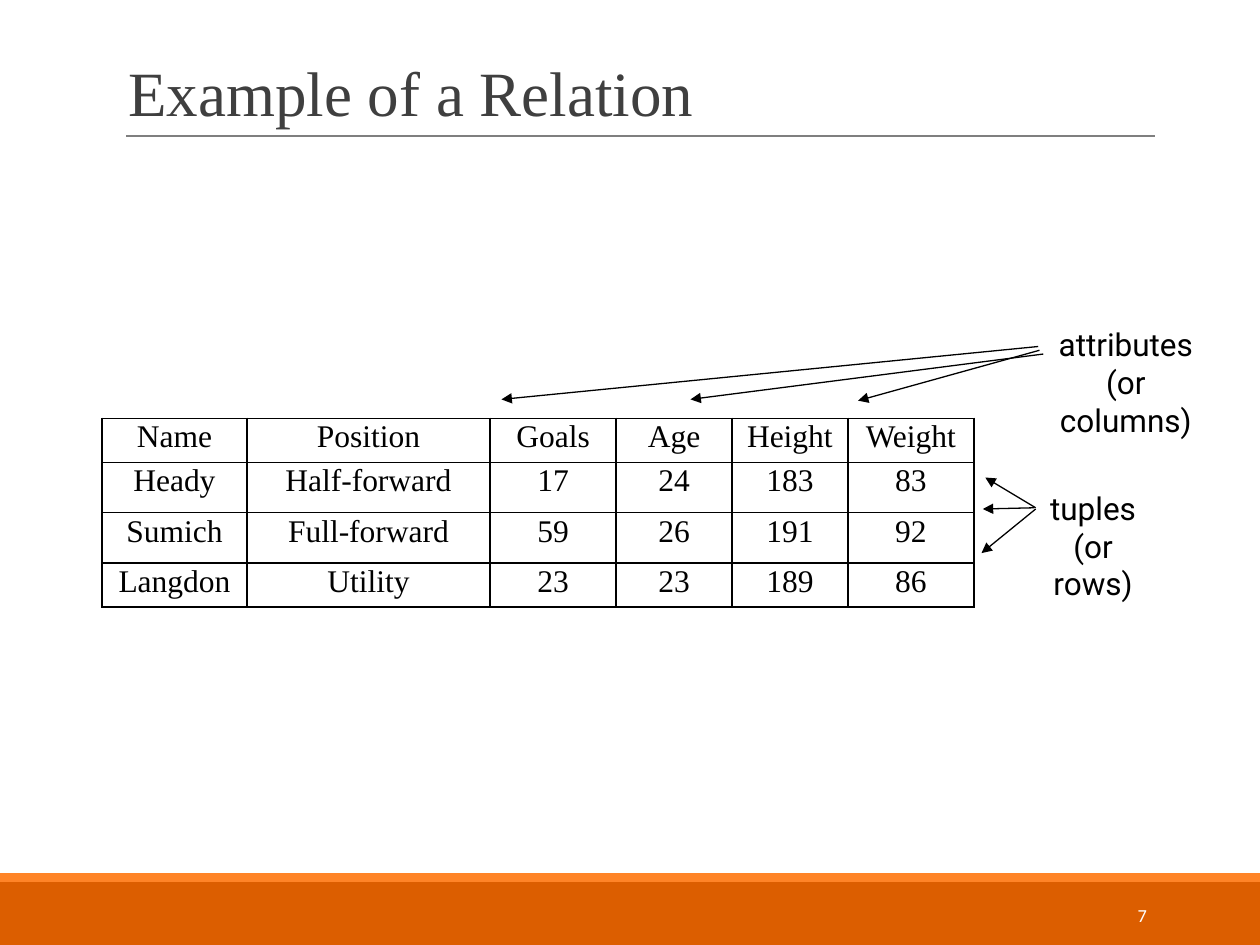
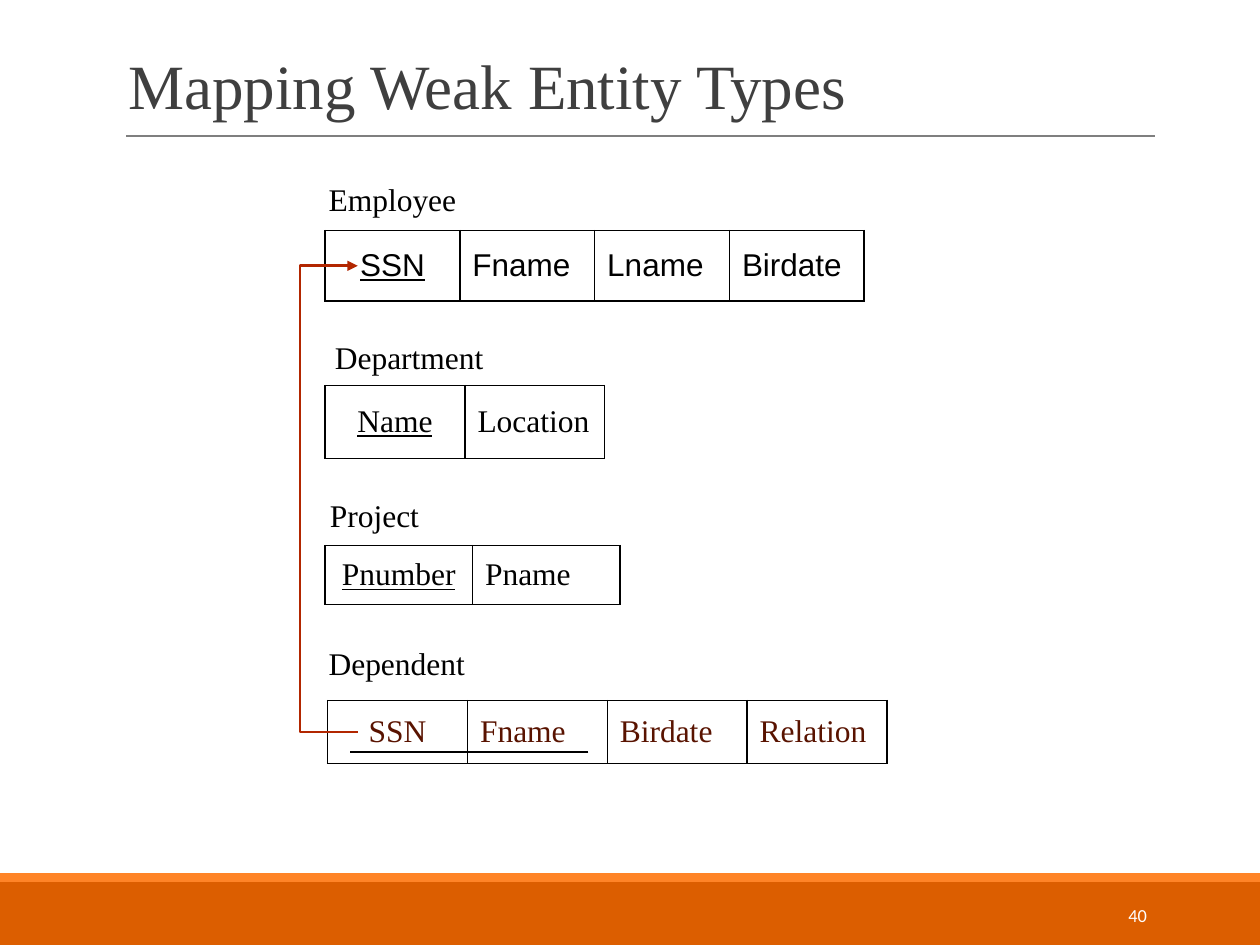
from lxml import etree
from pptx import Presentation
from pptx.dml.color import RGBColor
from pptx.enum.shapes import MSO_CONNECTOR, MSO_SHAPE
from pptx.enum.text import MSO_ANCHOR, MSO_AUTO_SIZE, PP_ALIGN
from pptx.oxml import parse_xml
from pptx.oxml.ns import nsdecls, qn
from pptx.util import Inches, Pt

LEFT, CENTER, RIGHT = PP_ALIGN.LEFT, PP_ALIGN.CENTER, PP_ALIGN.RIGHT
TOP, MIDDLE, BOTTOM = MSO_ANCHOR.TOP, MSO_ANCHOR.MIDDLE, MSO_ANCHOR.BOTTOM
RECTANGLE, STRAIGHT = MSO_SHAPE.RECTANGLE, MSO_CONNECTOR.STRAIGHT

BLACK = RGBColor(0x00, 0x00, 0x00)
WHITE = RGBColor(0xFF, 0xFF, 0xFF)
TITLE_GREY = RGBColor(0x3F, 0x3F, 0x3F)
RULE_GREY = RGBColor(0x7F, 0x7F, 0x7F)
BAND_DARK = RGBColor(0xDC, 0x5E, 0x00)
BAND_LIGHT = RGBColor(0xFF, 0x84, 0x27)
WEAK_BROWN = RGBColor(0x59, 0x13, 0x00)
KEY_RED = RGBColor(0xB2, 0x26, 0x00)
SERIF, SANS, LABEL, NUMBER = "Times New Roman", "Arial", "Roboto", "Calibri"

# Content of the relation slide
PLAYERS = [
    ["Name", "Position", "Goals", "Age", "Height", "Weight"],
    ["Heady", "Half-forward", "17", "24", "183", "83"],
    ["Sumich", "Full-forward", "59", "26", "191", "92"],
    ["Langdon", "Utility", "23", "23", "189", "86"],
]
PLAYER_COLUMNS = [1.15, 1.93, 1, 0.92, 0.92, 1]
PLAYER_ROWS = [0.31, 0.4, 0.4, 0.31]
# Label lines, box, arrows as (start, end)
CALLOUTS = [
    (["attributes", "(or columns)"], (8.14, 2.53, 1.59, 0.71),
     [((8.24, 2.75), (3.98, 3.17)), ((8.28, 2.81), (5.48, 3.17)),
      ((8.25, 2.78), (6.81, 3.18))]),
    (["tuples", "(or rows)"], (8.08, 3.83, 1.19, 0.71),
     [((8.22, 4.03), (7.82, 3.79)), ((8.21, 4.03), (7.8, 4.04)),
      ((8.22, 4.04), (7.79, 4.39))]),
]

# Content of the mapping slide:
# name, name box, table corner, column width, height, font, colour, key underlined, fields
SCHEMAS = [
    ("Employee", (2.51, 1.38, 1.42, 0.4), (2.58, 1.83), 1.07, 0.56, SANS, BLACK,
     True, ["SSN", "Fname", "Lname", "Birdate"]),
    ("Department", (2.56, 2.63, 1.56, 0.4), (2.58, 3.06), 1.11, 0.58, SERIF, BLACK,
     True, ["Name", "Location"]),
    ("Project", (2.52, 3.89, 1.56, 0.4), (2.58, 4.33), 1.17, 0.47, SERIF, BLACK,
     True, ["Pnumber", "Pname"]),
    ("Dependent", (2.51, 5.06, 2.16, 0.4), (2.6, 5.56), 1.11, 0.5, SERIF, WEAK_BROWN,
     False, ["SSN", "Fname", "Birdate", "Relation"]),
]
FOREIGN_KEY_PATH = [(2.84, 5.81), (2.38, 5.81), (2.38, 2.11), (2.84, 2.11)]
PARTIAL_KEY_LINE = [(4.67, 5.97), (2.78, 5.97)]


def write(frame, lines, font, size, color, align=LEFT, anchor=TOP):
    frame.word_wrap = True
    frame.vertical_anchor = anchor
    frame.text = "\n".join(lines)
    for para in frame.paragraphs:
        para.alignment = align
        style(para, font, size, color)


def style(para, font, size, color):
    para.font.name = font
    para.font.size = Pt(size)
    para.font.color.rgb = color


def add_text(page, box, lines, font=SERIF, size=18, color=BLACK, align=LEFT, anchor=TOP):
    shape = page.shapes.add_textbox(*map(Inches, box))
    write(shape.text_frame, lines, font, size, color, align, anchor)


def style_line(shape, color, width, arrow):
    shape.line.color.rgb = color
    shape.line.width = Pt(width)
    if arrow:
        outline = shape.line._get_or_add_ln()
        etree.SubElement(outline, qn("a:tailEnd"), type="triangle")


def add_line(page, start, end, color=BLACK, width=0.75, arrow=False):
    line = page.shapes.add_connector(STRAIGHT, *map(Inches, (*start, *end)))
    style_line(line, color, width, arrow)
    etree.SubElement(line._element.spPr, qn("a:effectLst"))


def add_path(page, points, color, width):
    corners = [(Inches(x), Inches(y)) for x, y in points]
    builder = page.shapes.build_freeform(*corners[0])
    builder.add_line_segments(corners[1:], close=False)
    path = builder.convert_to_shape()
    path.fill.background()
    path.shadow.inherit = False
    # The arrowhead must follow the line fill inside the outline
    style_line(path, color, width, arrow=True)


def add_grid(page, corner, columns, rows, texts, font, color, anchor):
    """Add a plain black-ruled table and return it for further formatting."""
    size = (sum(columns), sum(rows))
    frame = page.shapes.add_table(len(rows), len(columns), *map(Inches, corner + size))
    table = frame.table
    table.first_row = table.horz_banding = False
    for column, width in zip(table.columns, columns):
        column.width = Inches(width)
    for row, height, row_texts in zip(table.rows, rows, texts):
        row.height = Inches(height)
        for cell, text in zip(row.cells, row_texts):
            cell.text = text
            cell.vertical_anchor = anchor
            style(cell.text_frame.paragraphs[0], font, 18, color)
            properties = cell._tc.get_or_add_tcPr()
            for side in ("lnL", "lnR", "lnT", "lnB"):
                properties.append(parse_xml(
                    f'<a:{side} {nsdecls("a")} w="12700"><a:solidFill>'
                    f'<a:srgbClr val="{BLACK}"/></a:solidFill></a:{side}>'))
            cell.fill.background()
    return table


def add_page(deck, title, title_top, number):
    """Add a slide with the shared bands, rule, title and slide number."""
    page = deck.slides.add_slide(deck.slide_layouts[5])
    for top, height, color in ((7, 0.5, BAND_DARK), (6.93, 0.07, BAND_LIGHT)):
        band = page.shapes.add_shape(
            RECTANGLE, *map(Inches, (0, top, 10, height)))
        band.fill.solid()
        band.fill.fore_color.rgb = color
        band.line.fill.background()
        band.shadow.inherit = False
    add_line(page, (1, 1.08), (9.17, 1.08), RULE_GREY)

    heading = page.shapes.title
    heading.left, heading.top, heading.width, heading.height = map(
        Inches, (0.92, title_top, 8.25, 0.77))
    write(heading.text_frame, [title], SERIF, 36, TITLE_GREY, LEFT, BOTTOM)
    heading.text_frame.auto_size = MSO_AUTO_SIZE.NONE
    heading.text_frame.paragraphs[0].line_spacing = 0.85
    add_text(page, (8.12, 7.06, 1.08, 0.4), [number], NUMBER, 10.5, WHITE, RIGHT, MIDDLE)
    return page


def build_relation(deck):
    page = add_page(deck, "Example of a Relation", 0.31, "7")
    table = add_grid(page, (0.81, 3.32), PLAYER_COLUMNS, PLAYER_ROWS, PLAYERS,
                     SERIF, BLACK, TOP)
    for cell in table.iter_cells():
        para = cell.text_frame.paragraphs[0]
        para.alignment = CENTER
        para.line_spacing = 0.83
    for lines, box, arrows in CALLOUTS:
        add_text(page, box, lines, LABEL, align=CENTER)
        for start, end in arrows:
            add_line(page, start, end, arrow=True)


def build_mapping(deck):
    page = add_page(deck, "Mapping Weak Entity Types", 0.25, "40")
    for name, box, corner, width, height, font, color, underlined, fields in SCHEMAS:
        add_text(page, box, [name])
        table = add_grid(page, corner, [width] * len(fields), [height], [fields],
                         font, color, MIDDLE)
        key = table.cell(0, 0).text_frame.paragraphs[0]
        key.alignment = CENTER
        if underlined:
            key.font.underline = True
    # Partial key underline and foreign key reference
    add_line(page, *PARTIAL_KEY_LINE, width=1.5)
    add_path(page, FOREIGN_KEY_PATH, KEY_RED, 1.5)


def main():
    deck = Presentation()
    deck.slide_width, deck.slide_height = Inches(10), Inches(7.5)
    build_relation(deck)
    build_mapping(deck)
    deck.save("out.pptx")


if __name__ == "__main__":
    main()
